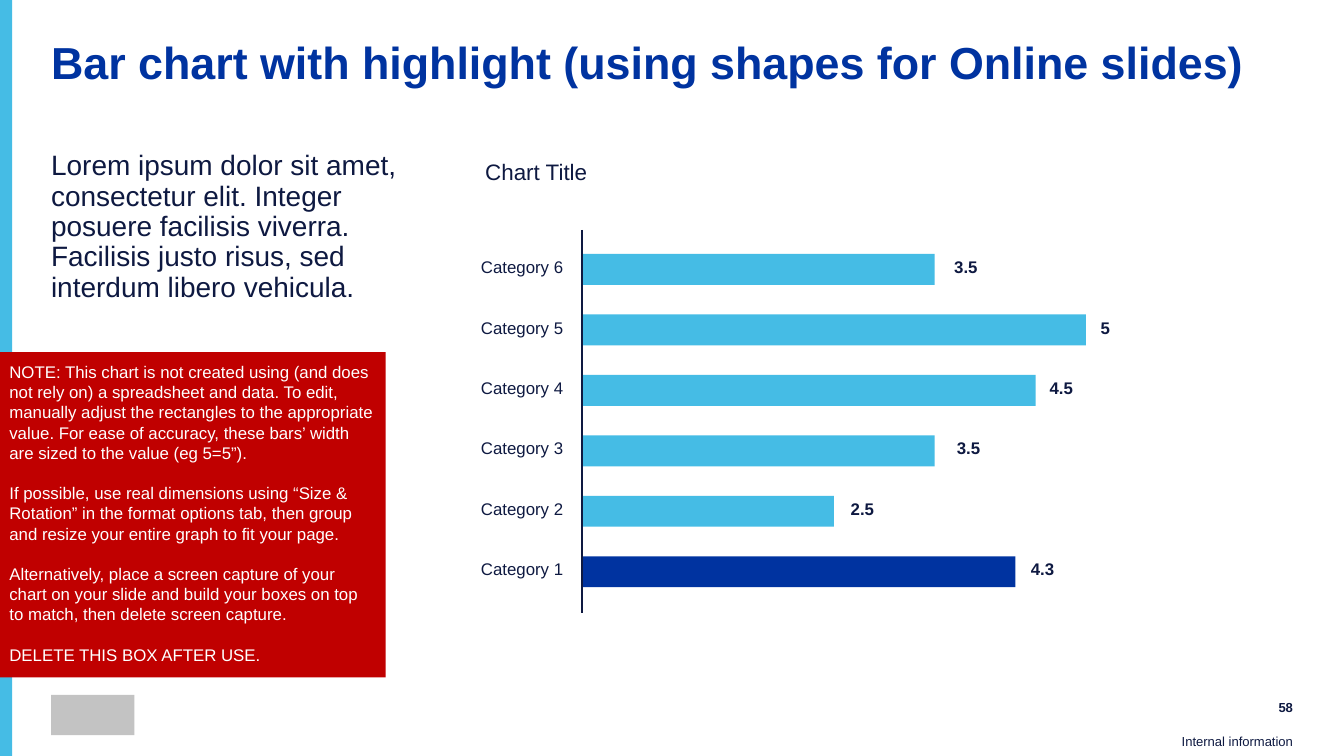
from dataclasses import dataclass

from lxml import etree
from pptx import Presentation
from pptx import util as u
from pptx.dml.color import RGBColor
from pptx.enum import shapes, text
from pptx.oxml.ns import qn

COLORS = {"sky": "45BCE5", "blue": "0033A0", "navy": "0E1941",
          "red": "C00000", "white": "FFFFFF", "gray": "C3C3C3"}
FONT = "Arial"
LEFT, MIDDLE, RIGHT = text.PP_ALIGN.LEFT, text.MSO_ANCHOR.MIDDLE, text.PP_ALIGN.RIGHT

# Chart geometry in inches
AXIS_X = 4.33
FIRST_BAR_Y = 1.89
ROW_STEP = 0.45
BAR_HEIGHT = 0.23
INCHES_PER_UNIT = 0.75


@dataclass
class Bar:
    category: str
    value: float
    label_x: float
    color: str = "sky"


@dataclass
class Style:
    size: float
    color: str = "navy"
    bold: bool = False
    align: text.PP_ALIGN = LEFT
    anchor: text.MSO_ANCHOR = text.MSO_ANCHOR.TOP
    inset: float = 0
    bottom_inset: float | None = None
    line_spacing: float = 1.0
    gap: float = 0


BARS = [
    Bar("Category 6", 3.5, 7.06),
    Bar("Category 5", 5, 8.15),
    Bar("Category 4", 4.5, 7.77),
    Bar("Category 3", 3.5, 7.08),
    Bar("Category 2", 2.5, 6.29),
    Bar("Category 1", 4.3, 7.63, "blue"),
]
NOTE = [
    "NOTE: This chart is not created using (and does not rely on) a spreadsheet and data. "
    "To edit, manually adjust the rectangles to the appropriate value. For ease of accuracy, "
    "these bars’ width are sized to the value (eg 5=5”).",
    "If possible, use real dimensions using “Size & Rotation” in the format options tab, "
    "then group and resize your entire graph to fit your page.",
    "Alternatively, place a screen capture of your chart on your slide and build your boxes "
    "on top to match, then delete screen capture.",
    "DELETE THIS BOX AFTER USE.",
]


def rgb(name: str) -> RGBColor:
    return RGBColor.from_string(COLORS[name])


def write(shape, paragraphs: list[str], style: Style) -> None:
    frame = shape.text_frame
    frame.word_wrap = True
    frame.vertical_anchor = style.anchor
    frame.margin_left = frame.margin_right = frame.margin_top = u.Inches(style.inset)
    bottom = style.inset if style.bottom_inset is None else style.bottom_inset
    frame.margin_bottom = u.Inches(bottom)
    frame.text = "\n".join(paragraphs)
    for index, paragraph in enumerate(frame.paragraphs):
        paragraph.alignment = style.align
        paragraph.line_spacing = style.line_spacing
        if index and style.gap:
            paragraph.space_before = u.Pt(style.gap)
        font = paragraph.runs[0].font
        font.name, font.size, font.bold = FONT, u.Pt(style.size), style.bold
        font.color.rgb = rgb(style.color)


def add_text(parent, x: float, y: float, w: float, h: float,
             content: str, style: Style) -> None:
    box = parent.add_textbox(u.Inches(x), u.Inches(y), u.Inches(w), u.Inches(h))
    write(box, [content], style)


def add_rect(parent, x: float, y: float, w: float, h: float, color: str):
    rect = parent.add_shape(shapes.MSO_SHAPE.RECTANGLE, u.Inches(x), u.Inches(y),
                            u.Inches(w), u.Inches(h))
    rect.shadow.inherit = False
    rect.fill.solid()
    rect.fill.fore_color.rgb = rgb(color)
    rect.line.fill.background()
    return rect


def add_axis(parent, x: float, top: float, bottom: float) -> None:
    axis = parent.add_connector(shapes.MSO_CONNECTOR.STRAIGHT, u.Inches(x), u.Inches(top),
                                u.Inches(x), u.Inches(bottom))
    axis.line.color.rgb = rgb("navy")
    axis.line.width = u.Pt(1.5)
    etree.SubElement(axis._element.spPr, qn("a:effectLst"))


def add_bar_chart(parent, bars: list[Bar]) -> None:
    category_style = Style(9, align=RIGHT, anchor=MIDDLE, inset=0.04)
    value_style = Style(9, bold=True, anchor=MIDDLE, inset=0.04)
    for row, bar in enumerate(bars):
        y = FIRST_BAR_Y + row * ROW_STEP
        label_y = y - 0.02
        add_rect(parent, AXIS_X, y, bar.value * INCHES_PER_UNIT, BAR_HEIGHT, bar.color)
        add_text(parent, 3.48, label_y, 0.75, BAR_HEIGHT, bar.category, category_style)
        add_text(parent, bar.label_x, label_y, 0.37, BAR_HEIGHT, f"{bar.value:g}", value_style)
    add_axis(parent, AXIS_X, 1.71, 4.56)


def main() -> None:
    deck = Presentation()
    deck.slide_width = u.Inches(10)
    deck.slide_height = deck.slide_width * 9 // 16
    slide = deck.slides.add_slide(deck.slide_layouts[6])
    canvas = slide.shapes

    # Side stripe, logo block and footer
    add_rect(canvas, 0, 0, 0.09, deck.slide_height.inches
             if hasattr(deck.slide_height, "inches") else 5.62, "sky")
    add_rect(canvas, 0.38, 5.17, 0.62, 0.3, "gray")
    add_text(canvas, 8.72, 5.46, 0.9, 0.16, "Internal information",
             Style(7, align=RIGHT, anchor=text.MSO_ANCHOR.BOTTOM, bottom_inset=0.05))
    add_text(canvas, 9.03, 5.17, 0.59, 0.18, "58",
             Style(7, bold=True, align=RIGHT, anchor=MIDDLE))

    # Title and body
    add_text(canvas, 0.38, 0.3, 9.25, 0.49,
             "Bar chart with highlight (using shapes for Online slides)",
             Style(24, "blue", bold=True, line_spacing=0.9))
    add_text(canvas, 0.38, 1.13, 2.85, 3.9,
             "Lorem ipsum dolor sit amet, consectetur elit. Integer posuere facilisis viverra. "
             "Facilisis justo risus, sed interdum libero vehicula.",
             Style(15, line_spacing=0.9))

    # Chart built from rectangles
    add_text(canvas, 3.57, 1.14, 1.62, 0.28, "Chart Title", Style(12, inset=0.04))
    add_bar_chart(canvas.add_group_shape().shapes, BARS)

    # Red instruction note
    note = add_rect(canvas, 0, 2.62, 2.87, 2.42, "red")
    write(note, NOTE, Style(9, "white", inset=0.07, gap=10.8))

    deck.save("out.pptx")


if __name__ == "__main__":
    main()
